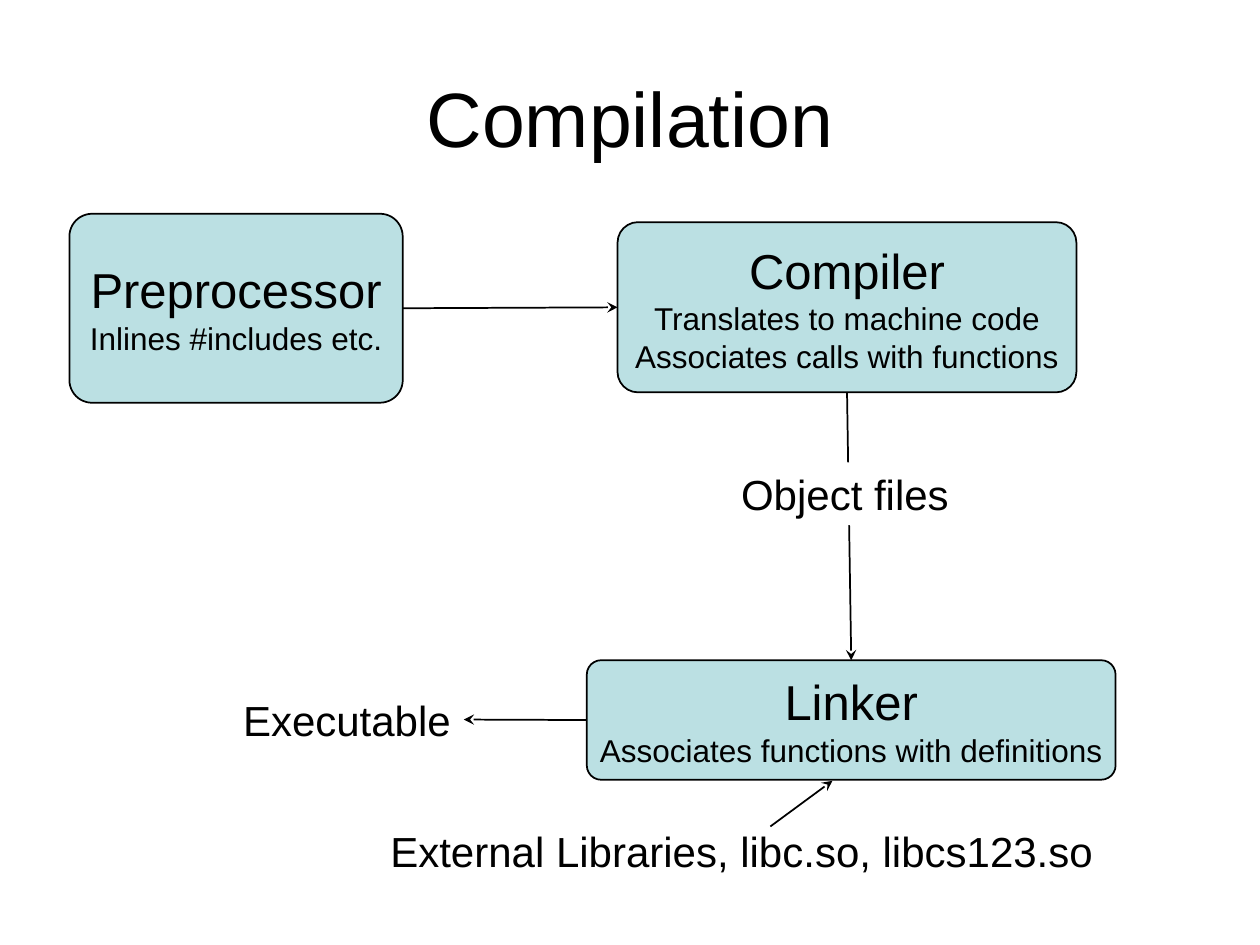
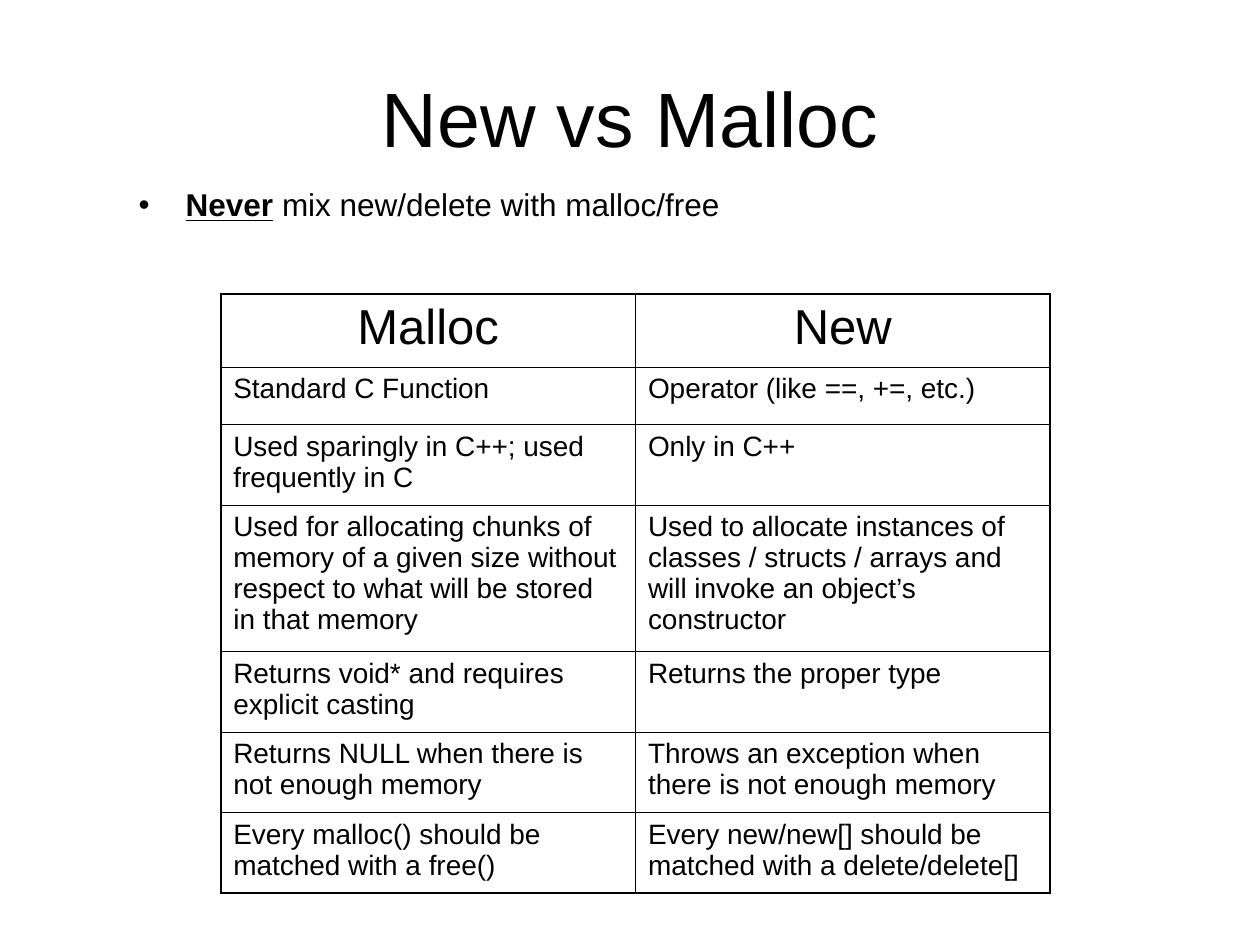
from dataclasses import dataclass

from lxml import etree
from pptx import Presentation
from pptx.dml.color import RGBColor
from pptx.enum.shapes import MSO_CONNECTOR, MSO_SHAPE
from pptx.enum.text import MSO_ANCHOR, MSO_AUTO_SIZE, PP_ALIGN
from pptx.oxml.ns import qn
from pptx.util import Cm, Pt

STRAIGHT = MSO_CONNECTOR.STRAIGHT
RECT, ROUNDED = MSO_SHAPE.RECTANGLE, MSO_SHAPE.ROUNDED_RECTANGLE
TOP, MIDDLE = MSO_ANCHOR.TOP, MSO_ANCHOR.MIDDLE
NO_FIT, GROW = MSO_AUTO_SIZE.NONE, MSO_AUTO_SIZE.SHAPE_TO_FIT_TEXT
LEFT, CENTER = PP_ALIGN.LEFT, PP_ALIGN.CENTER
SITE_TOP, SITE_LEFT, SITE_BOTTOM, SITE_RIGHT = range(4)

COLORS = {"text": "000000", "line": "000000", "stage": "BBE0E3", "paper": "FFFFFF"}
FONT = "Arial"
TITLE_ONLY, TITLE_AND_BODY = 5, 1
CORNER = 0.12
LABEL_HEIGHT = 1.27


@dataclass
class Stage:
    left: float
    top: float
    width: float
    height: float
    heading: str
    details: tuple[str, ...]


@dataclass
class Label:
    left: float
    top: float
    width: float
    text: str


PREPROCESSOR = Stage(1.4, 4.31, 6.72, 3.81, "Preprocessor", ("Inlines #includes etc.",))
COMPILER = Stage(12.45, 4.48, 9.25, 3.43, "Compiler",
                 ("Translates to machine code", "Associates calls with functions"))
LINKER = Stage(11.83, 13.31, 10.66, 2.41, "Linker",
               ("Associates functions with definitions",))

OBJECT_FILES = Label(14.69, 9.32, 4.7, "Object files")
EXECUTABLE = Label(4.65, 13.87, 4.7, "Executable")
LIBRARIES = Label(7.62, 16.51, 14.68, "External Libraries, libc.so, libcs123.so")

COMPARISON = [
    ("Malloc", "New"),
    ("Standard C Function", "Operator (like ==, +=, etc.)"),
    ("Used sparingly in C++; used frequently in C", "Only in C++"),
    ("Used for allocating chunks of memory of a given size without respect "
     "to what will be stored in that memory",
     "Used to allocate instances of classes / structs / arrays and will invoke "
     "an object’s constructor"),
    ("Returns void* and requires explicit casting", "Returns the proper type"),
    ("Returns NULL when there is not enough memory",
     "Throws an exception when there is not enough memory"),
    ("Every malloc() should be matched with a free()",
     "Every new/new[] should be matched with a delete/delete[]"),
]
ROW_HEIGHTS = [1.48, 1.16, 1.62, 2.96, 1.62, 1.62, 1.62]
COLUMN_WIDTH = 8.36
THICK, THIN = 1.08, 0.45


def rgb(name: str) -> RGBColor:
    return RGBColor.from_string(COLORS[name])


def format_paragraph(p, size: float, align=LEFT) -> None:
    p.alignment = align
    p.space_before = Pt(0)
    for r in p.runs:
        r.font.name = FONT
        r.font.size = Pt(size)
        r.font.color.rgb = rgb("text")


def place(sp, left: float, top: float, width: float, height: float) -> None:
    sp.left, sp.top, sp.width, sp.height = Cm(left), Cm(top), Cm(width), Cm(height)


def new_slide(prs, layout: int, title: str):
    s = prs.slides.add_slide(prs.slide_layouts[layout])
    sp = s.shapes.title
    place(sp, 1.27, 0.76, 22.86, 3.18)
    tf = sp.text_frame
    tf.text = title
    tf.auto_size = NO_FIT
    tf.vertical_anchor = MIDDLE
    format_paragraph(tf.paragraphs[0], 44, CENTER)
    return s


def add_stage(s, stage: Stage):
    sp = s.shapes.add_shape(ROUNDED, Cm(stage.left), Cm(stage.top),
                            Cm(stage.width), Cm(stage.height))
    sp.adjustments[0] = CORNER
    sp.shadow.inherit = False
    sp.fill.solid()
    sp.fill.fore_color.rgb = rgb("stage")
    sp.line.color.rgb = rgb("line")
    sp.line.width = Pt(1)
    tf = sp.text_frame
    tf.text = "\n".join((stage.heading, *stage.details))
    tf.word_wrap = False
    tf.vertical_anchor = MIDDLE
    tf.margin_left = tf.margin_right = tf.margin_top = tf.margin_bottom = 0
    for i, p in enumerate(tf.paragraphs):
        format_paragraph(p, 18 if i else 28, CENTER)
    return sp


def add_label(s, label: Label):
    sp = s.shapes.add_shape(RECT, Cm(label.left), Cm(label.top),
                            Cm(label.width), Cm(LABEL_HEIGHT))
    sp.shadow.inherit = False
    sp.fill.solid()
    sp.fill.fore_color.rgb = rgb("paper")
    sp.line.fill.background()
    tf = sp.text_frame
    tf.text = label.text
    tf.word_wrap = False
    tf.auto_size = GROW
    tf.vertical_anchor = TOP
    format_paragraph(tf.paragraphs[0], 24)
    return sp


def add_arrow(s, x1: float = 0, y1: float = 0, x2: float = 0, y2: float = 0):
    cx = s.shapes.add_connector(STRAIGHT, Cm(x1), Cm(y1), Cm(x2), Cm(y2))
    cx.line.color.rgb = rgb("line")
    cx.line.width = Pt(1)
    etree.SubElement(cx.line._get_or_add_ln(), qn("a:tailEnd"), type="stealth")
    etree.SubElement(cx._element.spPr, qn("a:effectLst"))
    return cx


def join(s, start, start_site: int, end, end_site: int) -> None:
    cx = add_arrow(s)
    cx.begin_connect(start, start_site)
    cx.end_connect(end, end_site)


def set_borders(cell, top: float, bottom: float) -> None:
    tc_pr = cell._tc.get_or_add_tcPr()
    for side, width in (("L", THICK), ("R", THICK), ("T", top), ("B", bottom)):
        ln = etree.SubElement(tc_pr, qn(f"a:ln{side}"), w=str(int(Pt(width))))
        fill = etree.SubElement(ln, qn("a:solidFill"))
        etree.SubElement(fill, qn("a:srgbClr"), val=COLORS["line"])


def add_comparison(s) -> None:
    last = len(COMPARISON) - 1
    table = s.shapes.add_table(len(COMPARISON), 2, Cm(4.45), Cm(5.92),
                               Cm(2 * COLUMN_WIDTH), Cm(sum(ROW_HEIGHTS))).table
    table.first_row = table.horz_banding = False
    for column in table.columns:
        column.width = Cm(COLUMN_WIDTH)
    for i, (texts, height) in enumerate(zip(COMPARISON, ROW_HEIGHTS)):
        table.rows[i].height = Cm(height)
        for cell, text in zip(table.rows[i].cells, texts):
            set_borders(cell, THIN if i else THICK, THICK if i == last else THIN)
            cell.fill.background()
            cell.text_frame.text = text
            format_paragraph(cell.text_frame.paragraphs[0],
                             16 if i else 28, LEFT if i else CENTER)


def add_warning(s) -> None:
    sp = s.placeholders[1]
    place(sp, 2.54, 3.61, 20.32, 1.02)
    tf = sp.text_frame
    tf.auto_size = NO_FIT
    p = tf.paragraphs[0]
    p_pr = p._p.get_or_add_pPr()
    p_pr.set("marL", str(Cm(0.95)))
    p_pr.set("indent", str(-Cm(0.95)))
    etree.SubElement(p_pr, qn("a:buFont"), typeface=FONT)
    etree.SubElement(p_pr, qn("a:buChar"), char="•")
    for text, strong in (("Never", True), (" mix new/delete with malloc/free", False)):
        r = p.add_run()
        r.text = text
        r.font.bold = r.font.underline = strong
    format_paragraph(p, 18)


def build_compilation(prs) -> None:
    s = new_slide(prs, TITLE_ONLY, "Compilation")
    preprocessor, compiler, linker = (
        add_stage(s, stage) for stage in (PREPROCESSOR, COMPILER, LINKER))
    join(s, preprocessor, SITE_RIGHT, compiler, SITE_LEFT)
    join(s, compiler, SITE_BOTTOM, linker, SITE_TOP)
    add_label(s, OBJECT_FILES)
    executable = add_label(s, EXECUTABLE)
    join(s, linker, SITE_LEFT, executable, SITE_RIGHT)
    add_label(s, LIBRARIES)
    add_arrow(s, 15.53, 16.66, 16.78, 15.74)


def build_new_vs_malloc(prs) -> None:
    s = new_slide(prs, TITLE_AND_BODY, "New vs Malloc")
    add_comparison(s)
    add_warning(s)


def main() -> None:
    prs = Presentation()
    prs.slide_width, prs.slide_height = Cm(25.4), Cm(19.05)
    build_compilation(prs)
    build_new_vs_malloc(prs)
    prs.save("out.pptx")


if __name__ == "__main__":
    main()
